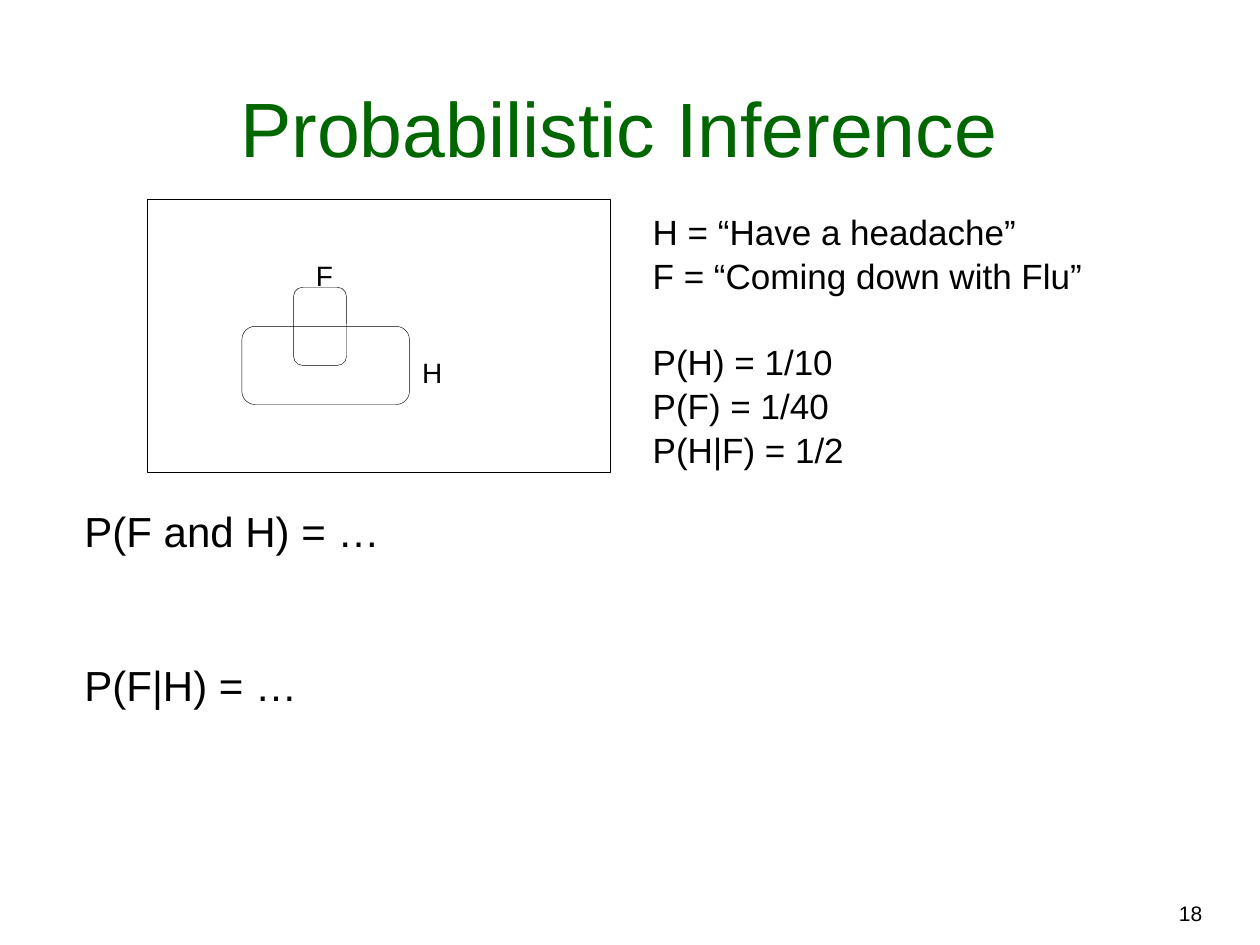
from dataclasses import dataclass

from lxml import etree
from pptx import Presentation, util as u
from pptx.dml.color import RGBColor
from pptx.enum import shapes, text

Inches, Pt = u.Inches, u.Pt


@dataclass(frozen=True)
class Theme:
    font: str = "Arial"
    ink: RGBColor = RGBColor(0x00, 0x00, 0x00)
    heading: RGBColor = RGBColor(0x00, 0x66, 0x00)
    title_size: int = 44
    question_size: int = 24
    definition_size: int = 20
    label_size: int = 16
    number_size: int = 12
    outline: float = 0.25
    line_spacing: float = 1.05


THEME = Theme()
LEFT, CENTER, RIGHT = text.PP_ALIGN.LEFT, text.PP_ALIGN.CENTER, text.PP_ALIGN.RIGHT


def place(shape, box):
    shape.left, shape.top, shape.width, shape.height = map(Inches, box)


def write(shape, groups, *, size, color=THEME.ink, align=LEFT, gap=0,
          anchor=text.MSO_ANCHOR.TOP, wrap=True, spacing=THEME.line_spacing):
    """Fill a shape with groups of lines, leaving gap points between groups."""
    frame = shape.text_frame
    frame.word_wrap = wrap
    frame.auto_size = text.MSO_AUTO_SIZE.NONE
    frame.vertical_anchor = anchor
    lines = [(line, gap if group_index and not line_index else 0)
             for group_index, group in enumerate(groups)
             for line_index, line in enumerate(group)]
    for index, (line, space) in enumerate(lines):
        paragraph = frame.add_paragraph() if index else frame.paragraphs[0]
        paragraph.text = line
        paragraph.alignment = align
        paragraph.space_before = Pt(space)
        paragraph.line_spacing = spacing
        properties = paragraph._p.get_or_add_pPr()
        properties.set("marL", "0")
        properties.set("indent", "0")
        etree.SubElement(properties, properties.tag.replace("pPr", "buNone"))
        font = paragraph.font
        font.name, font.size, font.color.rgb = THEME.font, Pt(size), color


def add_outline(parent, kind, box):
    shape = parent.shapes.add_shape(kind, *map(Inches, box))
    shape.shadow.inherit = False
    shape.fill.background()
    shape.line.color.rgb = THEME.ink
    shape.line.width = Pt(THEME.outline)
    return shape


def add_venn_diagram(slide, box):
    """Draw the event space with overlapping events F and H."""
    left, top, _, _ = box
    group = slide.shapes.add_group_shape()
    add_outline(group, shapes.MSO_SHAPE.RECTANGLE, box)
    events = [
        ("H", (0.75, 1.01, 1.33, 0.62), (2.08, 1.18, 0.36, 0.37)),
        ("F", (1.16, 0.7, 0.42, 0.62), (1.24, 0.41, 0.33, 0.37)),
    ]
    for name, (x, y, width, height), (label_x, label_y, *label_size) in events:
        event = add_outline(group, shapes.MSO_SHAPE.ROUNDED_RECTANGLE,
                            (left + x, top + y, width, height))
        event.adjustments[0] = 0.17
        label = group.shapes.add_textbox(
            *map(Inches, (left + label_x, top + label_y, *label_size)))
        write(label, [[name]], size=THEME.label_size, align=CENTER, wrap=False)


def add_title(slide, box):
    place(slide.shapes.title, box)
    write(slide.shapes.title, [["Probabilistic Inference"]], size=THEME.title_size,
          color=THEME.heading, align=CENTER, anchor=text.MSO_ANCHOR.BOTTOM, spacing=1.0)


def add_definitions(placeholder, box):
    place(placeholder, box)
    write(placeholder,
          [["H = “Have a headache”", "F = “Coming down with Flu”"],
           ["P(H) = 1/10", "P(F) = 1/40", "P(H|F) = 1/2"]],
          size=THEME.definition_size, gap=24)


def add_questions(placeholder, box):
    place(placeholder, box)
    write(placeholder, [["P(F and H) = …"], ["P(F|H) = …"]],
          size=THEME.question_size, gap=58)


def add_slide_number(slide, box):
    number = slide.shapes.add_textbox(*map(Inches, box))
    write(number, [["18"]], size=THEME.number_size, align=RIGHT)


def main():
    presentation = Presentation()
    presentation.slide_width, presentation.slide_height = Inches(10), Inches(7.5)
    two_content = presentation.slide_layouts[3]
    slide = presentation.slides.add_slide(two_content)
    _, definitions, questions = slide.placeholders
    add_title(slide, (0.25, 0.25, 9.33, 1.17))
    add_venn_diagram(slide, (1.17, 1.58, 3.67, 2.17))
    add_definitions(definitions, (5.08, 1.6, 3.67, 2.1))
    add_questions(questions, (0.57, 3.94, 9.2, 1.7))
    add_slide_number(slide, (5.72, 7.09, 3.92, 0.3))
    presentation.save("out.pptx")


if __name__ == "__main__":
    main()
